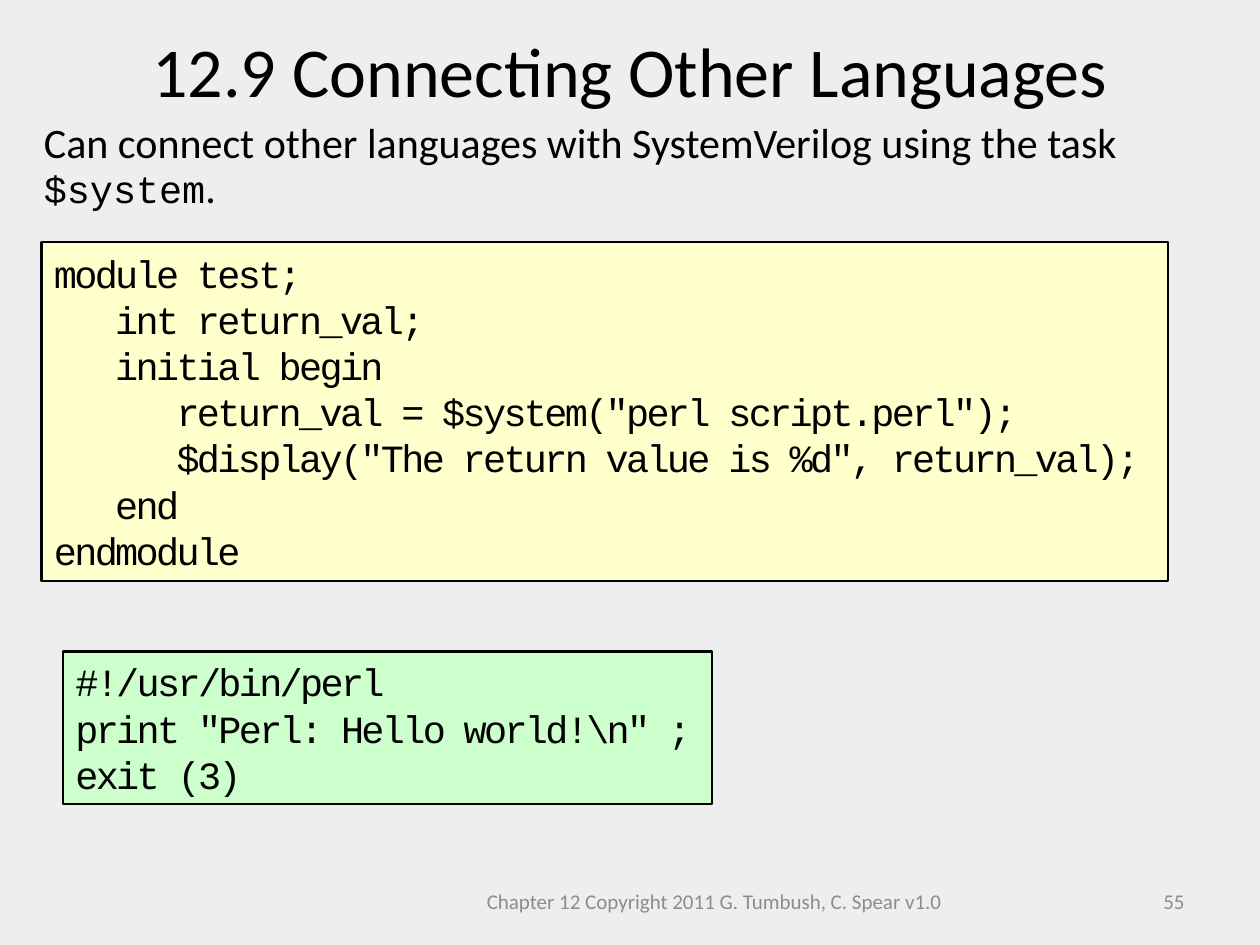
from pptx import Presentation
from pptx.dml.color import RGBColor
from pptx.enum.shapes import MSO_SHAPE
from pptx.enum.text import MSO_ANCHOR, MSO_AUTO_SIZE, PP_ALIGN
from pptx.util import Inches, Pt

LEFT, CENTER, RIGHT = PP_ALIGN.LEFT, PP_ALIGN.CENTER, PP_ALIGN.RIGHT
TOP, MIDDLE = MSO_ANCHOR.TOP, MSO_ANCHOR.MIDDLE
RECTANGLE = MSO_SHAPE.RECTANGLE
NO_AUTOFIT = MSO_AUTO_SIZE.NONE
TITLE_ONLY = 5

COLORS = {
    "background": "EEEEEE",
    "text": "000000",
    "footer": "8C8C8C",
    "verilog": "FFFFCC",
    "perl": "CCFFCC",
}
BODY_FONT, CODE_FONT = "Calibri", "Courier New"


def color(name):
    return RGBColor.from_string(COLORS[name])


def write(frame, lines, anchor=TOP, align=LEFT, spacing=1.0, tracking=None):
    frame_format = {"word_wrap": True, "auto_size": NO_AUTOFIT, "vertical_anchor": anchor}
    for key, value in frame_format.items():
        setattr(frame, key, value)
    for index, pieces in enumerate(lines):
        paragraph = frame.add_paragraph() if index else frame.paragraphs[0]
        paragraph.alignment = align
        paragraph.line_spacing = spacing
        for text, font_name, size, color_name in pieces:
            run = paragraph.add_run()
            run.text = text
            for key, value in {"name": font_name, "size": Pt(size)}.items():
                setattr(run.font, key, value)
            run.font.color.rgb = color(color_name)
            if tracking is not None:
                run._r.get_or_add_rPr().set("spc", str(int(tracking * 100)))


prs = Presentation()
prs.slide_width, prs.slide_height = Inches(10), Inches(7.5)
slide = prs.slides.add_slide(prs.slide_layouts[TITLE_ONLY])
slide.background.fill.solid()
slide.background.fill.fore_color.rgb = color("background")

title = slide.shapes.title
title_place = {"left": 0, "top": 0.17, "width": 10, "height": 0.77}
for key, value in title_place.items():
    setattr(title, key, Inches(value))
write(title.text_frame, [[("12.9 Connecting Other Languages", BODY_FONT, 40, "text")]], align=CENTER)

intro = slide.shapes.add_textbox(Inches(0.25), Inches(0.92), Inches(9.42), Inches(0.83))
intro_pieces = [
    ("Can connect other languages with SystemVerilog using the task ", BODY_FONT, 24, "text"),
    ("$system", CODE_FONT, 22, "text"),
    (".", BODY_FONT, 24, "text"),
]
write(intro.text_frame, [intro_pieces], spacing=0.9)

verilog_code = """module test;
   int return_val;
   initial begin
      return_val = $system("perl script.perl");
      $display("The return value is %d", return_val);
   end
endmodule"""
perl_code = r"""#!/usr/bin/perl
print "Perl: Hello world!\n" ;
exit (3)"""

listings = [
    (verilog_code, "verilog", (0.33, 1.92, 8.94, 2.69)),
    (perl_code, "perl", (0.5, 5.17, 5.15, 1.21)),
]
for code, fill_name, place in listings:
    listing = slide.shapes.add_shape(RECTANGLE, *map(Inches, place))
    listing.shadow.inherit = False
    listing.fill.solid()
    listing.fill.fore_color.rgb = color(fill_name)
    listing.line.color.rgb = color("text")
    listing.line.width = Pt(1.5)
    code_lines = [[(line, CODE_FONT, 22, "text")] for line in code.splitlines()]
    write(listing.text_frame, code_lines, anchor=MIDDLE, spacing=Pt(26.4), tracking=-1.5)

footers = [
    ("Chapter 12 Copyright 2011 G. Tumbush, C. Spear v1.0", 3.42, 4.5, CENTER),
    ("55", 7.17, 2.33, RIGHT),
]
for text, left, width, align in footers:
    footer = slide.shapes.add_textbox(Inches(left), Inches(6.95), Inches(width), Inches(0.4))
    write(footer.text_frame, [[(text, BODY_FONT, 12, "footer")]], anchor=MIDDLE, align=align)

prs.save("out.pptx")
